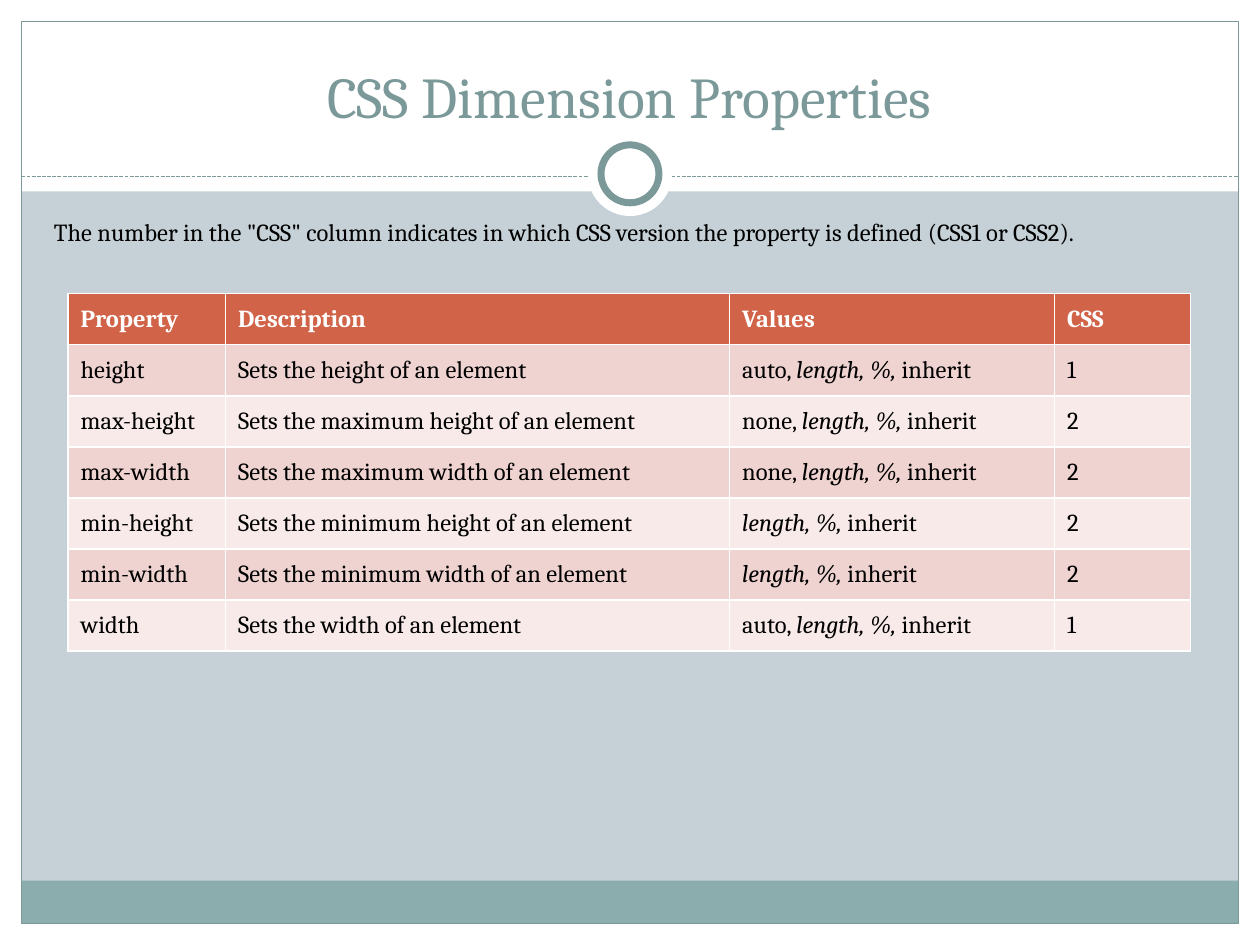
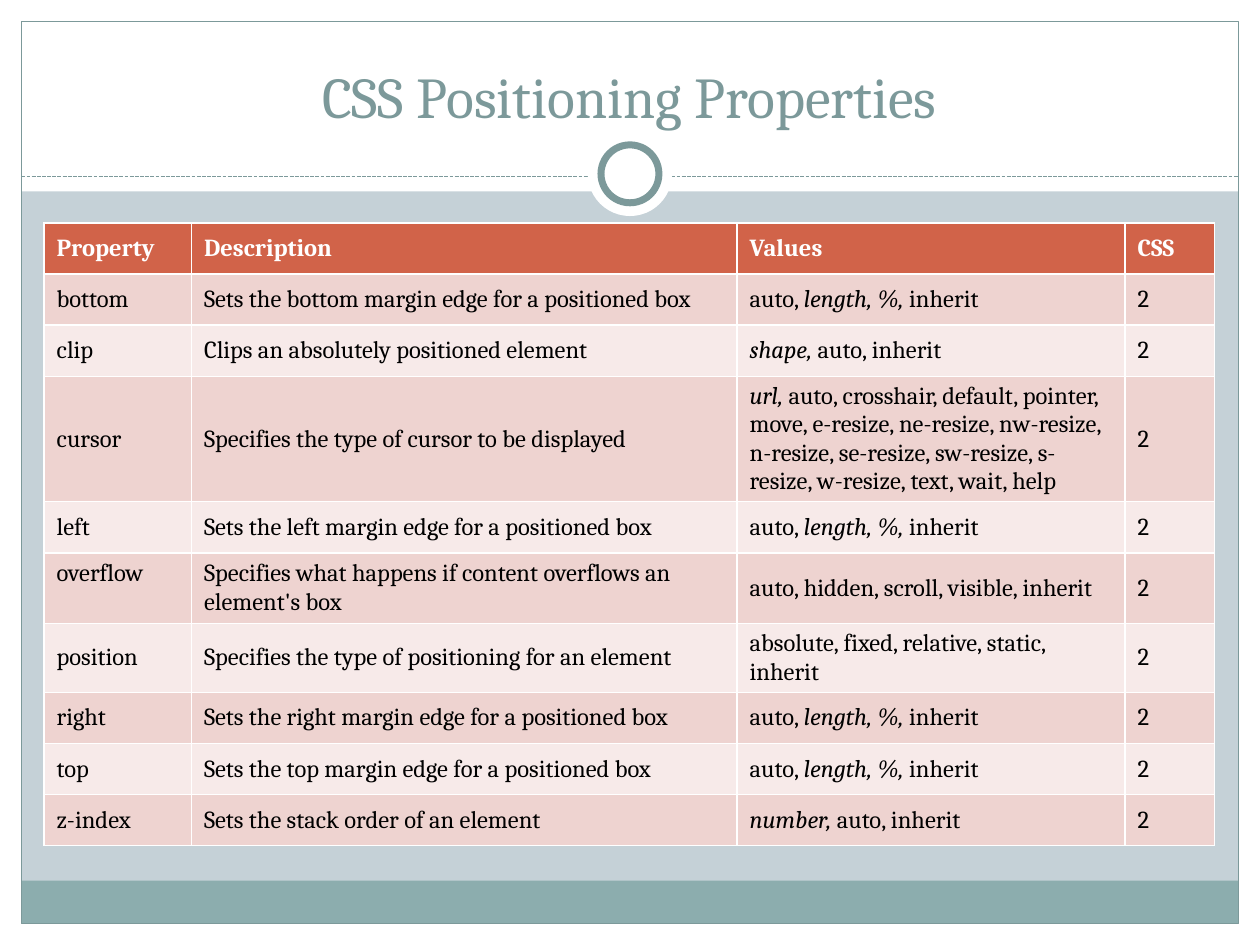
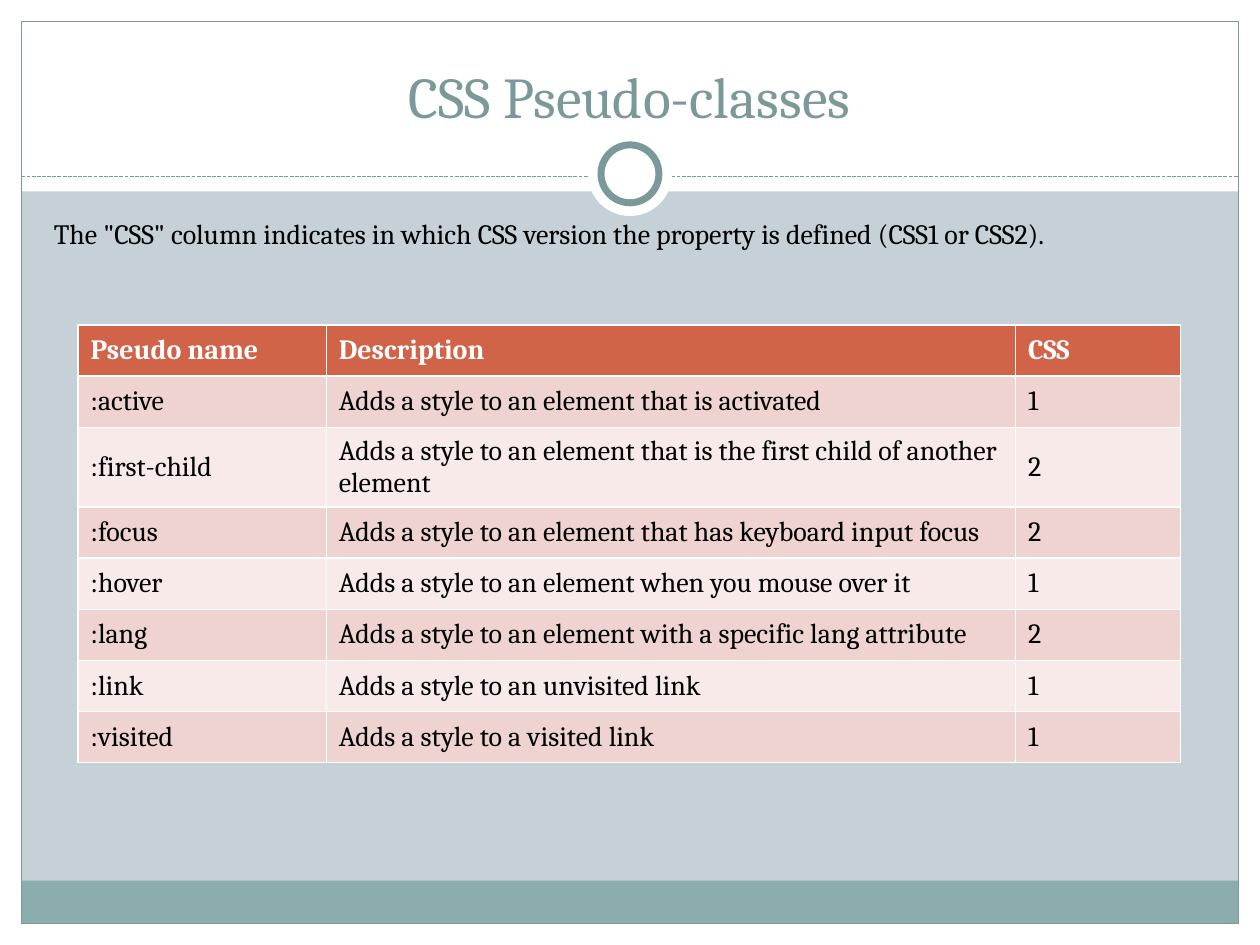
"""Build three CSS reference slides with a shared frame and property tables."""
from lxml import etree
from pptx import Presentation
from pptx import util as u
from pptx.dml.color import RGBColor
from pptx.enum import dml, shapes, text
from pptx.oxml.ns import qn

WHITE = RGBColor(0xFF, 0xFF, 0xFF)
BLACK = RGBColor(0x00, 0x00, 0x00)
BACKDROP = RGBColor(0xC5, 0xD1, 0xD7)
BAND = RGBColor(0x8C, 0xAD, 0xAE)
TEAL = RGBColor(0x7C, 0x99, 0x9A)
HEADER = RGBColor(0xD1, 0x63, 0x49)
ROW_FILLS = [RGBColor(0xEE, 0xD3, 0xD0), RGBColor(0xF7, 0xEA, 0xE9)]
FONT = "Cambria"
WIDTH, HEIGHT, EDGE = 10, 7.5, 0.17
INNER = WIDTH - 2 * EDGE
ROW_HEIGHT = u.Pt(29.2)
LENGTHS = "*length, %, *inherit"

SLIDES = [
    dict(
        title="CSS Dimension Properties",
        note='The number in the "CSS" column indicates in which CSS version '
             'the property is defined (CSS1 or CSS2).',
        size=14, left=0.54, top=2.33, columns=[1.25, 4, 2.58, 1.08],
        rows=[
            ("Property", "Description", "Values", "CSS"),
            ("height", "Sets the height of an element", "auto, " + LENGTHS, "1"),
            ("max-height", "Sets the maximum height of an element", "none, " + LENGTHS, "2"),
            ("max-width", "Sets the maximum width of an element", "none, " + LENGTHS, "2"),
            ("min-height", "Sets the minimum height of an element", LENGTHS, "2"),
            ("min-width", "Sets the minimum width of an element", LENGTHS, "2"),
            ("width", "Sets the width of an element", "auto, " + LENGTHS, "1"),
        ],
    ),
    dict(
        title="CSS Positioning Properties",
        note=None,
        size=14, left=0.35, top=1.77, columns=[1.17, 4.33, 3.08, 0.71],
        rows=[
            ("Property", "Description", "Values", "CSS"),
            ("bottom", "Sets the bottom margin edge for a positioned box", "auto, " + LENGTHS, "2"),
            ("clip", "Clips an absolutely positioned element", "*shape, *auto, inherit", "2"),
            ("cursor", "Specifies the type of cursor to be displayed",
             "*url, *auto, crosshair, default, pointer, move, e-resize, ne-resize, nw-resize, "
             "n-resize, se-resize, sw-resize, s-resize, w-resize, text, wait, help", "2"),
            ("left", "Sets the left margin edge for a positioned box", "auto, " + LENGTHS, "2"),
            ("overflow\n", "Specifies what happens if content overflows an element's box",
             "auto, hidden, scroll, visible, inherit", "2"),
            ("position", "Specifies the type of positioning for an element",
             "absolute, fixed, relative, static, inherit", "2"),
            ("right", "Sets the right margin edge for a positioned box", "auto, " + LENGTHS, "2"),
            ("top", "Sets the top margin edge for a positioned box", "auto, " + LENGTHS, "2"),
            ("z-index", "Sets the stack order of an element", "*number, *auto, inherit", "2"),
        ],
    ),
    dict(
        title="CSS Pseudo-classes",
        note='The "CSS" column indicates in which CSS version '
             'the property is defined (CSS1 or CSS2).',
        size=16, left=0.62, top=2.58, columns=[1.97, 5.47, 1.31],
        rows=[
            ("Pseudo name", "Description", "CSS"),
            (":active", "Adds a style to an element that is activated", "1"),
            (":first-child", "Adds a style to an element that is the first child of another element", "2"),
            (":focus", "Adds a style to an element that has keyboard input focus", "2"),
            (":hover", "Adds a style to an element when you mouse over it", "1"),
            (":lang", "Adds a style to an element with a specific lang attribute", "2"),
            (":link", "Adds a style to an unvisited link", "1"),
            (":visited", "Adds a style to a visited link", "1"),
        ],
    ),
]


def add_text(p, content, size, color, bold=False):
    for i, part in enumerate(content.split("*")):
        if part.strip():
            r = p.add_run()
            r.text = part.rstrip("\n")
            r.font.name, r.font.size = FONT, u.Pt(size)
            r.font.color.rgb = color
            r.font.bold, r.font.italic = bold, i % 2 == 1
    if content.endswith("\n"):
        p.add_line_break()
        br = p._p.find(qn("a:br"))
        etree.SubElement(br, qn("a:rPr"), sz=str(size * 100))
        etree.SubElement(p._p, qn("a:endParaRPr"), sz=str(size * 100))


def add_frame_shape(s, kind, box, fill=None, line_width=None):
    sp = s.shapes.add_shape(kind, *map(u.Inches, box))
    sp.shadow.inherit = False
    if fill is None:
        sp.fill.background()
    else:
        sp.fill.solid()
        sp.fill.fore_color.rgb = fill
    if line_width is None:
        sp.line.fill.background()
    else:
        sp.line.color.rgb = TEAL
        sp.line.width = u.Pt(line_width)
    return sp


prs = Presentation()
prs.slide_width, prs.slide_height = u.Inches(WIDTH), u.Inches(HEIGHT)
layout = prs.slide_layouts.get_by_name("Title Only")
layout.background.fill.solid()
layout.background.fill.fore_color.rgb = BACKDROP
for holder in list(layout.placeholders)[1:]:
    layout.shapes.element.remove(holder.element)
slides = [prs.slides.add_slide(layout) for _ in SLIDES]

s = slides[0]
RECT, OVAL = shapes.MSO_SHAPE.RECTANGLE, shapes.MSO_SHAPE.OVAL
frame = [
    add_frame_shape(s, RECT, box, fill)
    for box, fill in [
        ((0, HEIGHT - EDGE, WIDTH, EDGE), WHITE),
        ((0, 0, WIDTH, 1.52), WHITE),
        ((0, 0, EDGE, HEIGHT), WHITE),
        ((WIDTH - EDGE, 0, EDGE, HEIGHT), WHITE),
        ((EDGE, 6.99, INNER, 0.34), BAND),
    ]
]
frame.append(add_frame_shape(s, RECT, (EDGE, EDGE, INNER, HEIGHT - 2 * EDGE), line_width=0.75))
rule = s.shapes.add_connector(
    shapes.MSO_CONNECTOR.STRAIGHT,
    *map(u.Inches, (EDGE, 1.4, WIDTH - EDGE, 1.4)))
rule.line.color.rgb = TEAL
rule.line.width = u.Pt(0.75)
rule.line.dash_style = dml.MSO_LINE.SQUARE_DOT
etree.SubElement(rule.element.spPr, qn("a:effectLst"))
frame.append(rule)
for diameter, line_width in [(0.67, None), (0.46, 4)]:
    box = (WIDTH / 2 - diameter / 2, 1.38 - diameter / 2, diameter, diameter)
    frame.append(add_frame_shape(s, OVAL, box, WHITE, line_width))
for sp in frame:
    layout.shapes.element.append(sp.element)

for s, page in zip(slides, SLIDES):
    title = s.shapes.title
    title.left, title.top, title.width, title.height = map(u.Inches, (0.33, 0.25, 9.33, 0.83))
    tf = title.text_frame
    tf.vertical_anchor = text.MSO_ANCHOR.BOTTOM
    tf.paragraphs[0].alignment = text.PP_ALIGN.CENTER
    add_text(tf.paragraphs[0], page["title"], 33, TEAL)

    if page["note"]:
        tf = s.shapes.add_textbox(*map(u.Inches, (0.33, 1.67, 9.3, 5))).text_frame
        tf.word_wrap = True
        p = tf.paragraphs[0]
        p.space_before = u.Pt(0.2 * page["size"])
        add_text(p, page["note"], page["size"], BLACK)

    rows, columns = page["rows"], page["columns"]
    table = s.shapes.add_table(
        len(rows), len(columns), u.Inches(page["left"]), u.Inches(page["top"]),
        u.Inches(sum(columns)), ROW_HEIGHT * len(rows)).table
    for column, width in zip(table.columns, columns):
        column.width = u.Inches(width)
    for i, row in enumerate(rows):
        table.rows[i].height = ROW_HEIGHT
        for j, content in enumerate(row):
            cell = table.cell(i, j)
            cell.vertical_anchor = text.MSO_ANCHOR.MIDDLE
            cell.fill.solid()
            cell.fill.fore_color.rgb = ROW_FILLS[(i - 1) % 2] if i else HEADER
            add_text(cell.text_frame.paragraphs[0], content, page["size"],
                     BLACK if i else WHITE, bold=i == 0)

prs.save("out.pptx")
